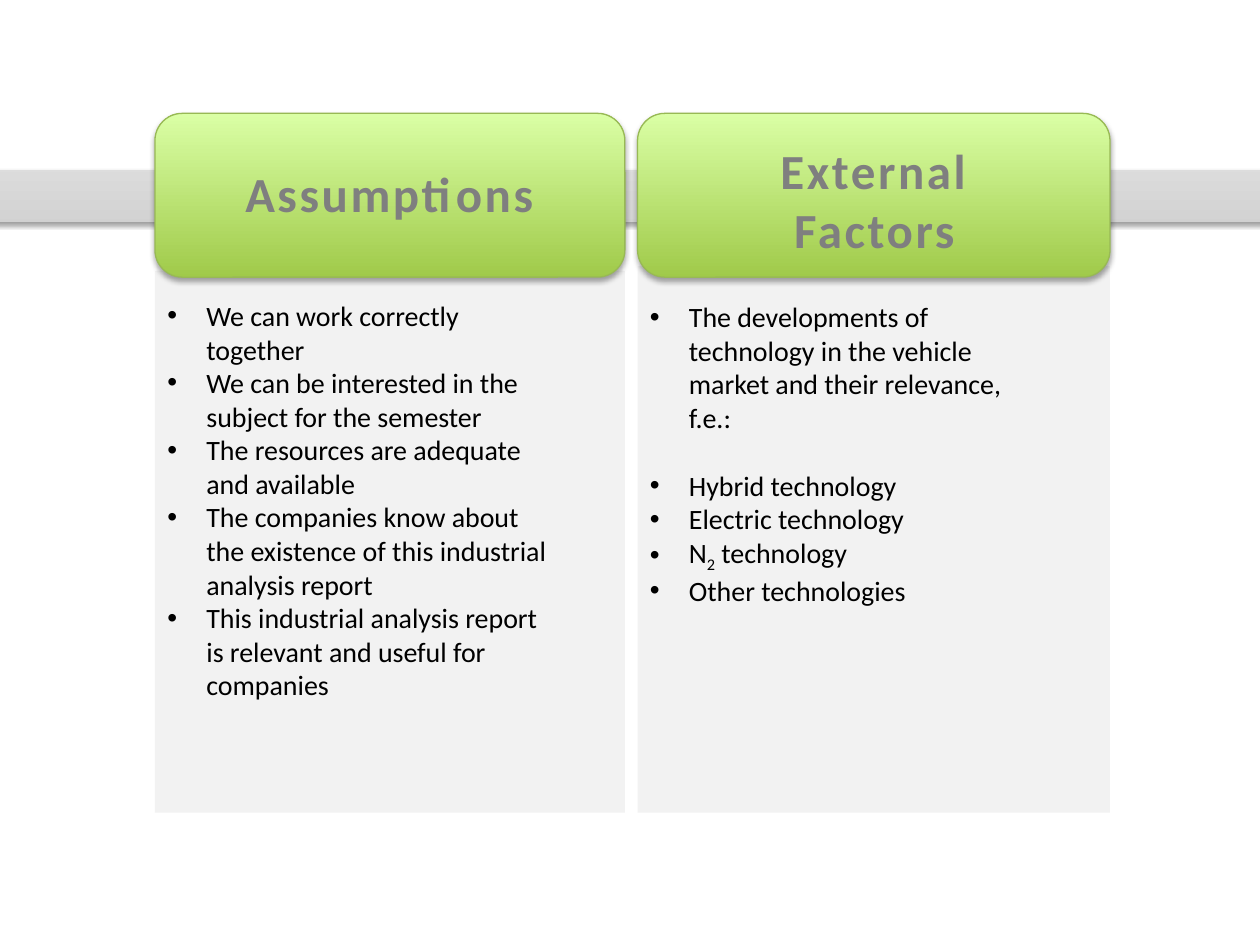
from dataclasses import dataclass

import pptx
import pptx.dml.color
import pptx.enum.shapes
import pptx.enum.text
import pptx.oxml
import pptx.oxml.ns
import pptx.util
from pptx.util import Inches

COLORS = {
    "panel": "F2F2F2",
    "band_dark": "BDBDBD",
    "band_middle": "D1D1D1",
    "band_light": "EEEEEE",
    "header_dark": "A0CA4A",
    "header_light": "DAFFA5",
    "header_line": "98B955",
    "header_text": "7F7F7F",
    "body_text": "000000",
    "shadow": "000000",
}
FONT = "Calibri"
SUBSCRIPT_MARK = "~"
SHAPES = pptx.enum.shapes.MSO_SHAPE


@dataclass
class Box:
    left: float
    top: float
    width: float
    height: float

    def lengths(self) -> list[int]:
        return [Inches(value) for value in (self.left, self.top, self.width, self.height)]


@dataclass
class Item:
    text: str
    space_before: float = 0


@dataclass
class Column:
    title: str
    title_box: Box
    header: Box
    panel: Box
    body: Box
    items: list[Item]


BAND = Box(-2.03, 0.69, 13.9, 1.73)
BAND_STOPS = [(0, "band_dark"), (35, "band_middle"), (100, "band_light")]
HEADER_STOPS = [(0, "header_dark"), (100, "header_light")]
COLUMNS = [
    Column(
        "Assumptions",
        Box(1.7, 1.25, 2.78, 0.57),
        Box(1.23, 0.9, 3.73, 1.3),
        Box(1.23, 2.15, 3.73, 4.3),
        Box(1.23, 2.32, 3.24, 3.33),
        [
            Item("We can work correctly together"),
            Item("We can be interested in the subject for the semester"),
            Item("The resources are adequate and available"),
            Item("The companies know about the existence of this industrial analysis report"),
            Item("This industrial analysis report is relevant and useful for companies"),
        ],
    ),
    Column(
        "External Factors",
        Box(5.42, 1.07, 3.04, 1.04),
        Box(5.06, 0.9, 3.75, 1.3),
        Box(5.06, 2.11, 3.75, 4.34),
        Box(5.06, 2.33, 3.26, 2.52),
        [
            Item("The developments of technology in the vehicle market and their relevance, f.e.:"),
            Item("Hybrid technology", space_before=19.5),
            Item("Electric technology"),
            Item("N~2~ technology"),
            Item("Other technologies"),
        ],
    ),
]


def color(name: str) -> pptx.dml.color.RGBColor:
    return pptx.dml.color.RGBColor.from_string(COLORS[name])


def add_box(slide, kind, box: Box):
    """Add a preset shape without outline or shadow."""
    shape = slide.shapes.add_shape(kind, *box.lengths())
    shape.shadow.inherit = False
    shape.line.fill.background()
    return shape


def set_gradient(shape, stops: list[tuple[int, str]]) -> None:
    """Fill from bottom to top with stops of (percent, colour name)."""
    shape.fill.gradient()
    shape.fill.gradient_angle = 90
    stop_list = shape.element.spPr.find(".//" + pptx.oxml.ns.qn("a:gsLst"))
    for stop in list(stop_list):
        stop_list.remove(stop)
    for percent, name in stops:
        stop_list.append(pptx.oxml.parse_xml(
            f'<a:gs {pptx.oxml.ns.nsdecls("a")} pos="{percent * 1000}">'
            f'<a:srgbClr val="{COLORS[name]}"/></a:gs>'
        ))


def set_shadow(shape, opacity: int, distance: float) -> None:
    """Cast a soft shadow downwards; opacity in percent, distance in points."""
    effects = shape.element.spPr.find(pptx.oxml.ns.qn("a:effectLst"))
    effects.append(pptx.oxml.parse_xml(
        f'<a:outerShdw {pptx.oxml.ns.nsdecls("a")} blurRad="{pptx.util.Pt(3.1)}" '
        f'dist="{pptx.util.Pt(distance)}" dir="5400000" rotWithShape="0">'
        f'<a:srgbClr val="{COLORS["shadow"]}"><a:alpha val="{opacity * 1000}"/></a:srgbClr>'
        "</a:outerShdw>"
    ))


def add_text_frame(slide, box: Box):
    text_frame = slide.shapes.add_textbox(*box.lengths()).text_frame
    text_frame.word_wrap = True
    text_frame.auto_size = pptx.enum.text.MSO_AUTO_SIZE.SHAPE_TO_FIT_TEXT
    return text_frame


def format_run(run, size: float, color_name: str) -> None:
    run.font.name = FONT
    run.font.size = pptx.util.Pt(size)
    run.font.color.rgb = color(color_name)


def add_title(slide, column: Column) -> None:
    text_frame = add_text_frame(slide, column.title_box)
    text_frame.text = column.title
    paragraph = text_frame.paragraphs[0]
    paragraph.alignment = pptx.enum.text.PP_ALIGN.CENTER
    run = paragraph.runs[0]
    format_run(run, 28, "header_text")
    run.font.bold = True
    run.font._element.set("spc", "150")


def set_bullet(paragraph) -> None:
    properties = paragraph._p.get_or_add_pPr()
    properties.set("marL", str(Inches(0.31)))
    properties.set("indent", str(Inches(-0.31)))
    namespace = pptx.oxml.ns.nsdecls("a")
    properties.append(pptx.oxml.parse_xml(f'<a:buFont {namespace} typeface="Arial"/>'))
    properties.append(pptx.oxml.parse_xml(f'<a:buChar {namespace} char="•"/>'))


def add_items(slide, column: Column) -> None:
    """Write the bullets; text between two marks becomes subscript."""
    text_frame = add_text_frame(slide, column.body)
    for index, item in enumerate(column.items):
        paragraph = text_frame.add_paragraph() if index else text_frame.paragraphs[0]
        if item.space_before:
            paragraph.space_before = pptx.util.Pt(item.space_before)
        set_bullet(paragraph)
        for position, piece in enumerate(item.text.split(SUBSCRIPT_MARK)):
            run = paragraph.add_run()
            run.text = piece
            format_run(run, 16, "body_text")
            if position % 2:
                run.font._element.set("baseline", "-25000")


def add_panel(slide, column: Column) -> None:
    panel = add_box(slide, SHAPES.RECTANGLE, column.panel)
    panel.fill.solid()
    panel.fill.fore_color.rgb = color("panel")


def add_band(slide) -> None:
    band = add_box(slide, SHAPES.MATH_MINUS, BAND)
    set_gradient(band, BAND_STOPS)
    set_shadow(band, 38, 1.6)


def add_header(slide, column: Column) -> None:
    header = add_box(slide, SHAPES.ROUNDED_RECTANGLE, column.header)
    set_gradient(header, HEADER_STOPS)
    header.line.color.rgb = color("header_line")
    header.line.width = pptx.util.Pt(0.75)
    set_shadow(header, 35, 1.8)


def main() -> None:
    presentation = pptx.Presentation()
    presentation.slide_width = Inches(10)
    presentation.slide_height = Inches(7.5)
    slide = presentation.slides.add_slide(presentation.slide_layouts[6])
    for column in COLUMNS:
        add_panel(slide, column)
    add_band(slide)
    for add_part in (add_header, add_title, add_items):
        for column in COLUMNS:
            add_part(slide, column)
    presentation.save("out.pptx")


if __name__ == "__main__":
    main()
